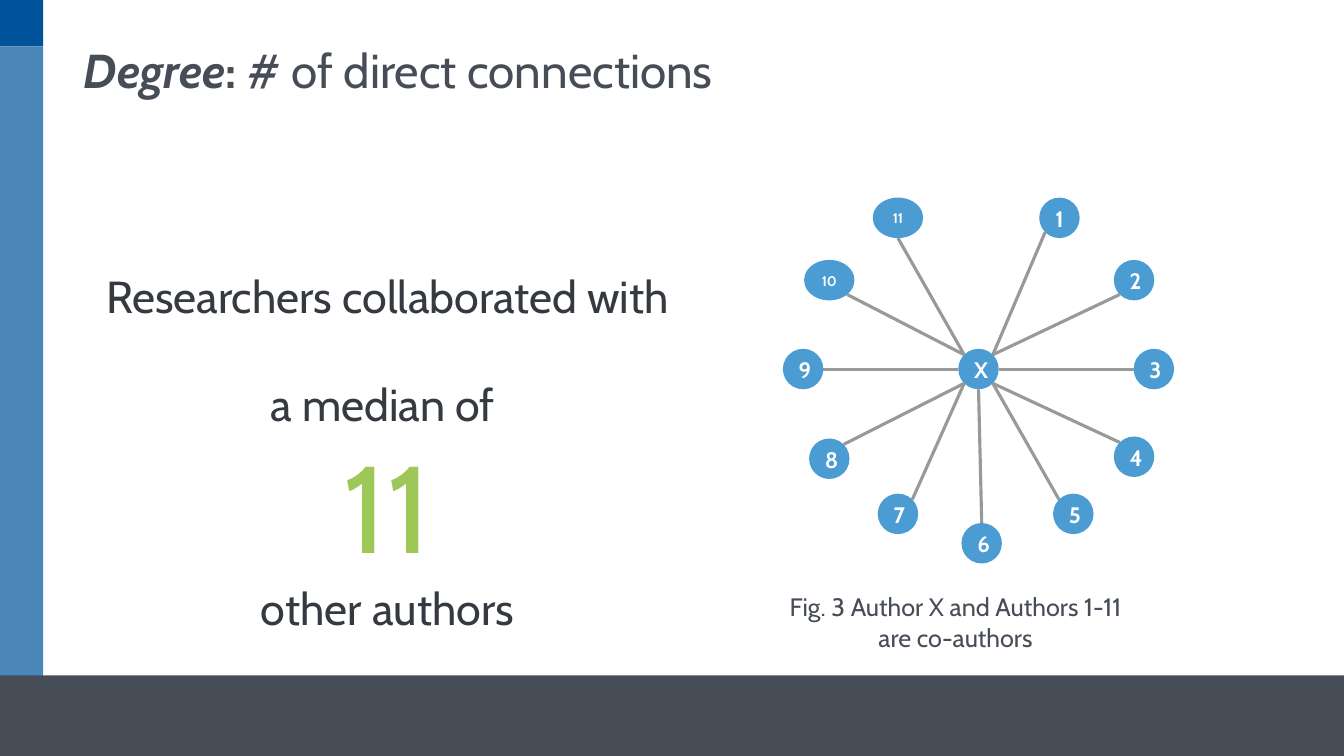
from math import hypot

from lxml import etree
from pptx import Presentation
from pptx.dml.color import RGBColor
from pptx.enum.shapes import MSO_CONNECTOR, MSO_SHAPE
from pptx.enum.text import MSO_ANCHOR, MSO_AUTO_SIZE, PP_ALIGN
from pptx.oxml.ns import qn
from pptx.util import Cm, Pt

RECT, OVAL = MSO_SHAPE.RECTANGLE, MSO_SHAPE.OVAL
LINE = MSO_CONNECTOR.STRAIGHT
LEFT, CENTER = PP_ALIGN.LEFT, PP_ALIGN.CENTER
TOP, MIDDLE = MSO_ANCHOR.TOP, MSO_ANCHOR.MIDDLE
FIXED = MSO_AUTO_SIZE.NONE

NAVY = RGBColor(0x00, 0x53, 0x9B)
BLUE = RGBColor(0x4B, 0x86, 0xB9)
SKY = RGBColor(0x4B, 0x9C, 0xD3)
SLATE = RGBColor(0x47, 0x4D, 0x57)
INK = RGBColor(0x35, 0x3A, 0x41)
GREEN = RGBColor(0x9D, 0xC8, 0x58)
GREY = RGBColor(0x97, 0x99, 0x9B)
WHITE = RGBColor(0xFF, 0xFF, 0xFF)

FONT = "Cabin"
SIZE = 1.02
WIDE = 1.27
HUB = (24.66, 9.3)

# label, centre, width, side of the hub, side of the author
AUTHORS = [
    ("1", (26.7, 5.49), SIZE, (1, -1), (-1, 1)),
    ("2", (28.58, 7.06), SIZE, (1, -1), (-1, 1)),
    ("3", (29.08, 9.3), SIZE, (1, 0), (-1, 0)),
    ("4", (28.58, 11.51), SIZE, (1, 1), (-1, -1)),
    ("5", (27.05, 12.95), SIZE, (1, 1), (-1, -1)),
    ("6", (24.74, 13.69), SIZE, (0, 1), (0, -1)),
    ("7", (22.63, 12.95), SIZE, (-1, 1), (1, -1)),
    ("8", (20.9, 11.56), SIZE, (-1, 1), (1, -1)),
    ("9", (20.24, 9.3), SIZE, (-1, 0), (1, 0)),
    ("10", (20.9, 7.06), WIDE, (-1, -1), (1, 1)),
    ("11", (22.63, 5.49), WIDE, (-1, -1), (0, 1)),
]


def style(run, size, color, bold=False, italic=False):
    """Set the font of a run."""
    font = run.font
    font.name, font.size = FONT, Pt(size)
    font.bold, font.italic = bold, italic
    font.color.rgb = color


def setup(frame, anchor=TOP, inset=(0, 0, 0, 0)):
    """Set wrapping, anchor and insets of a text frame."""
    frame.word_wrap = True
    frame.auto_size = FIXED
    frame.vertical_anchor = anchor
    (frame.margin_left, frame.margin_top,
     frame.margin_right, frame.margin_bottom) = map(Cm, inset)


def shape(slide, kind, color, *box):
    """Add a plain filled shape."""
    item = slide.shapes.add_shape(kind, *map(Cm, box))
    item.shadow.inherit = False
    item.fill.solid()
    item.fill.fore_color.rgb = color
    item.line.fill.background()
    return item


def title(slide):
    """Fill and place the title."""
    head = slide.shapes.title
    head.left, head.top, head.width, head.height = map(
        Cm, (2.11, 1.17, 30.66, 2.03))
    setup(head.text_frame, inset=(0, 0, 0, 0.25))
    para = head.text_frame.paragraphs[0]
    para.alignment, para.line_spacing = LEFT, 0.93
    parts = [("Degree", True, True), (": ", True, False),
             ("# of direct connections", False, False)]
    for text, bold, italic in parts:
        run = para.add_run()
        run.text = text
        style(run, 34, SLATE, bold, italic)


def text_box(slide, box, rows):
    """Add centred paragraphs of text, size, colour and space before."""
    frame = slide.shapes.add_textbox(*map(Cm, box)).text_frame
    setup(frame)
    frame.text = "\n".join(row[0] for row in rows)
    for para, (_, size, color, gap) in zip(frame.paragraphs, rows):
        para.alignment = CENTER
        para.space_before = Pt(gap)
        style(para.runs[0], size, color)


def node(slide, label, center, width):
    """Add a labelled author circle around its centre."""
    x, y = center
    dot = shape(slide, OVAL, SKY, x - width / 2, y - SIZE / 2, width, SIZE)
    frame = dot.text_frame
    setup(frame, MIDDLE, (0.25, 0.25, 0.25, 0.25))
    frame.text = label
    para = frame.paragraphs[0]
    para.alignment, para.line_spacing = CENTER, 1.06
    style(para.runs[0], 10 if width == WIDE else 16, WHITE, bold=True)


def rim(center, width, side):
    """Return the point on an oval's edge toward a side."""
    (x, y), (dx, dy) = center, side
    norm = 2 * hypot(dx, dy)
    return Cm(x + dx * width / norm), Cm(y + dy * SIZE / norm)


def link(slide, start, end):
    """Add a grey line between two points."""
    line = slide.shapes.add_connector(LINE, *start, *end)
    line.line.color.rgb = GREY
    line.line.width = Pt(2.25)
    etree.SubElement(line._element.spPr, qn("a:effectLst"))


def main():
    """Build and save the slide."""
    deck = Presentation()
    deck.slide_width, deck.slide_height = Cm(33.87), Cm(19.05)
    slide = deck.slides.add_slide(deck.slide_layouts[5])
    shape(slide, RECT, NAVY, 0, 0, 1.09, 1.17)
    shape(slide, RECT, BLUE, 0, 1.17, 1.09, 17.88)
    shape(slide, RECT, SLATE, 0, 17.02, 33.87, 2.03)
    title(slide)
    text_box(slide, (2.62, 6.76, 14.3, 8), [
        ("Researchers collaborated with", 32, INK, 2),
        ("a median of\u00a0", 32, INK, 39),
        ("11", 88, GREEN, 0),
        ("other authors", 32, INK, 2),
    ])
    text_box(slide, (19.61, 14.91, 8.94, 1.55), [
        ("Fig. 3 Author X and Authors 1-11 are co-authors", 18, SLATE, 2),
    ])
    for label, center, width, near, far in AUTHORS:
        link(slide, rim(HUB, SIZE, near), rim(center, width, far))
        node(slide, label, center, width)
    node(slide, "X", HUB, SIZE)
    deck.save("out.pptx")


if __name__ == "__main__":
    main()
